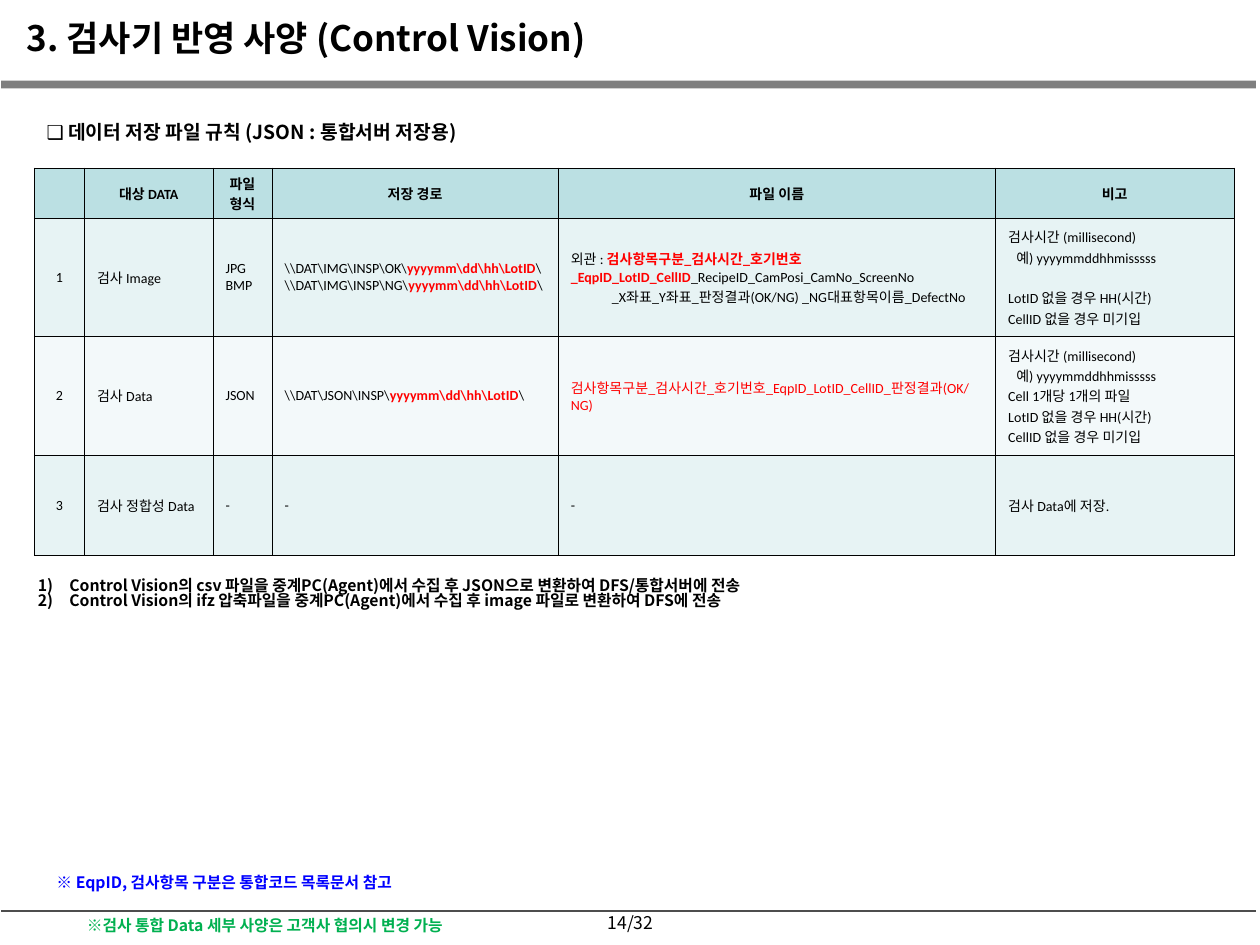
"""Build the slide on the file rules for saved inspection data."""
from dataclasses import dataclass

from lxml import etree
from pptx import Presentation
from pptx.dml.color import RGBColor
from pptx.enum.shapes import MSO_CONNECTOR, MSO_SHAPE
from pptx.enum.text import MSO_ANCHOR, MSO_AUTO_SIZE, PP_ALIGN
from pptx.oxml.ns import qn
from pptx.util import Pt

LEFT, CENTER = PP_ALIGN.LEFT, PP_ALIGN.CENTER
TOP, MIDDLE = MSO_ANCHOR.TOP, MSO_ANCHOR.MIDDLE
NO_AUTOSIZE = MSO_AUTO_SIZE.NONE
RECTANGLE, STRAIGHT = MSO_SHAPE.RECTANGLE, MSO_CONNECTOR.STRAIGHT

COLORS = {
    "black": "000000", "red": "FF0000", "green": "00B050", "blue": "0000FF",
    "bar": "7F7F7F", "rule": "4D4D4D",
    "header": "BBE0E3", "odd": "E7F3F4", "even": "F3F9FA",
}
KOREAN, LATIN = "Noto Sans CJK KR", "Calibri"
TIGHT = 0.83


@dataclass(frozen=True)
class Span:
    text: str
    color: str = "black"
    bold: bool = False
    font: str = ""


@dataclass(frozen=True)
class Line:
    spans: tuple[Span, ...]
    indent: float = 0
    before: float = 0


@dataclass(frozen=True)
class Label:
    text: tuple[Span, ...]
    left: float
    top: float
    width: float
    height: float
    size: float
    align: PP_ALIGN = LEFT


def plain(text: str, indent: float = 0, before: float = 0) -> Line:
    return Line((Span(text),), indent, before)


def saved_path(folder: str) -> Line:
    return Line((Span(folder), Span("yyyymm\\dd\\hh\\LotID", "red", True), Span("\\")))


def rgb(name: str) -> RGBColor:
    return RGBColor.from_string(COLORS[name])


def write_line(para, line: Line, size: float, font: str, align: PP_ALIGN = LEFT) -> None:
    para.alignment = align
    para.space_before = Pt(line.before)
    if line.indent:
        para._p.get_or_add_pPr().set("indent", str(Pt(line.indent)))
    para.font.size, para.font.name = Pt(size), font
    etree.SubElement(para._p.pPr.find(qn("a:defRPr")), qn("a:ea"), typeface=KOREAN)
    uniform = len({(span.color, span.bold) for span in line.spans}) == 1
    if uniform:
        para.font.color.rgb = rgb(line.spans[0].color)
        para.font.bold = line.spans[0].bold
    for span in line.spans:
        run = para.add_run()
        run.text = span.text
        if span.font:
            run.font.name = span.font
        if not uniform:
            run.font.color.rgb = rgb(span.color)
            run.font.bold = span.bold


def write_lines(frame, lines: list[Line], size: float, font: str, align: PP_ALIGN = LEFT) -> None:
    for index, line in enumerate(lines):
        para = frame.paragraphs[0] if index == 0 else frame.add_paragraph()
        write_line(para, line, size, font, align)


def place(shape, left: float, top: float, width: float, height: float) -> None:
    shape.left, shape.top, shape.width, shape.height = map(Pt, (left, top, width, height))
    frame = shape.text_frame
    frame.auto_size, frame.vertical_anchor = NO_AUTOSIZE, TOP


def add_label(page, label: Label) -> None:
    box = page.shapes.add_textbox(0, 0, 0, 0)
    place(box, label.left, label.top, label.width, label.height)
    box.text_frame.word_wrap = True
    write_lines(box.text_frame, [Line(label.text)], label.size, KOREAN, label.align)
    box.text_frame.paragraphs[0].line_spacing = TIGHT


def write_title(page, text: str) -> None:
    title = page.shapes.title
    place(title, 8, 10, 352, 32)
    title.text_frame.word_wrap = False
    write_lines(title.text_frame, [Line((Span(text, bold=True),))], 20, KOREAN)
    title.text_frame.paragraphs[0].line_spacing = TIGHT


def write_notes(page, notes: list[str]) -> None:
    body = page.placeholders[1]
    place(body, 14.4, 327, 522.7, 29)
    for index, note in enumerate(notes):
        para = body.text_frame.paragraphs[0] if index == 0 else body.text_frame.add_paragraph()
        para.line_spacing = TIGHT
        para.space_before = Pt(0)
        properties = para._p.get_or_add_pPr()
        properties.set("marL", str(Pt(18)))
        etree.SubElement(properties, qn("a:buFont"), typeface=KOREAN)
        etree.SubElement(properties, qn("a:buAutoNum"), type="arabicParenR")
        write_line(para, Line((Span(note, bold=True),), indent=-18), 9, KOREAN)


def add_border(cell) -> None:
    properties = cell._tc.get_or_add_tcPr()
    for index, side in enumerate(("lnL", "lnR", "lnT", "lnB")):
        edge = etree.Element(qn(f"a:{side}"), w=str(Pt(0.45)))
        fill = etree.SubElement(edge, qn("a:solidFill"))
        etree.SubElement(fill, qn("a:srgbClr"), val=COLORS["black"])
        properties.insert(index, edge)


def add_rules_table(page, rows: list[list[list[Line]]]) -> None:
    widths = [28.8, 73.4, 33.8, 163.5, 250, 136.2]
    heights = [28.6, 67.7, 67.7, 57.6]
    table = page.shapes.add_table(len(heights), len(widths), Pt(19.5), Pt(96),
                                  Pt(sum(widths)), Pt(sum(heights))).table
    for column, width in zip(table.columns, widths):
        column.width = Pt(width)
    for number, (row, height, cells) in enumerate(zip(table.rows, heights, rows)):
        row.height = Pt(height)
        shade = "header" if number == 0 else "odd" if number % 2 else "even"
        for position, (cell, lines) in enumerate(zip(row.cells, cells)):
            cell.fill.solid()
            cell.fill.fore_color.rgb = rgb(shade)
            cell.vertical_anchor = MIDDLE
            cell.margin_top = cell.margin_bottom = Pt(2.6)
            add_border(cell)
            align = CENTER if number == 0 or position == 0 else LEFT
            write_lines(cell.text_frame, lines, 8, LATIN, align)


def add_frame(page) -> None:
    bar = page.shapes.add_shape(RECTANGLE, Pt(0.7), Pt(46), Pt(717), Pt(4.5))
    bar.shadow.inherit = False
    bar.fill.solid()
    bar.fill.fore_color.rgb = rgb("bar")
    bar.line.fill.background()
    rule = page.shapes.add_connector(STRAIGHT, Pt(0.7), Pt(520.6), Pt(717.8), Pt(520.6))
    rule.line.color.rgb, rule.line.width = rgb("rule"), Pt(0.75)
    etree.SubElement(rule._element.spPr, qn("a:effectLst"))


def main() -> None:
    deck = Presentation()
    deck.slide_width, deck.slide_height = Pt(720), Pt(540)
    page = deck.slides.add_slide(deck.slide_layouts[1])
    headings = [["대상 DATA"], ["파일", "형식"], ["저장 경로"], ["파일 이름"], ["비고"]]
    header = [[]] + [[Line((Span(text, bold=True),)) for text in texts] for texts in headings]
    time_lines = [plain("검사시간 (millisecond)"), plain("예) yyyymmddhhmisssss", 4.6)]
    lot_text, cell_line = "LotID 없을 경우 HH(시간)", plain("CellID 없을 경우 미기입")
    key = "검사항목구분_검사시간_호기번호_EqpID_LotID_CellID"
    image_name = [
        Line((Span("외관 : "), Span(key, "red", True), Span("_RecipeID_CamPosi_CamNo_ScreenNo"))),
        plain("_X좌표_Y좌표_판정결과(OK/NG) _NG대표항목이름_DefectNo", 23.5),
    ]
    add_frame(page)
    write_title(page, "3. 검사기 반영 사양 (Control Vision)")
    add_rules_table(page, [
        header,
        [[plain("1")], [plain("검사 Image")], [plain("JPG"), plain("BMP")],
         [saved_path(f"\\\\DAT\\IMG\\INSP\\{result}\\") for result in ("OK", "NG")],
         image_name, time_lines + [plain(lot_text, before=11.6), cell_line]],
        [[plain("2")], [plain("검사 Data")], [plain("JSON")], [saved_path("\\\\DAT\\JSON\\INSP\\")],
         [Line((Span(key + "_판정결과(OK/NG)", "red"),))],
         time_lines + [plain("Cell 1개당 1개의 파일"), plain(lot_text), cell_line]],
        [[plain("3")], [plain("검사 정합성 Data")], *[[plain("-")]] * 3, [plain("검사 Data에 저장.")]],
    ])
    write_notes(page, [
        "Control Vision의 csv 파일을 중계PC(Agent)에서 수집 후 JSON으로 변환하여 DFS/통합서버에 전송",
        "Control Vision의 ifz 압축파일을 중계PC(Agent)에서 수집 후 image 파일로 변환하여 DFS에 전송",
    ])
    for label in (
        Label((Span("❑ ", bold=True, font="Arial"),
               Span("데이터 저장 파일 규칙 (JSON : 통합서버 저장용)", bold=True)), 19.5, 67.7, 386, 21, 11),
        Label((Span("※ EqpID, 검사항목 구분은 통합코드 목록문서 참고", "blue", True),), 25.2, 496.8, 360, 18, 9),
        Label((Span("※검사 통합 Data 세부 사양은 고객사 협의시 변경 가능", "green", True),),
              42.5, 521.3, 248.4, 18, 9),
        Label((Span("14/32"),), 322.5, 519.8, 75.6, 15, 10, CENTER),
    ):
        add_label(page, label)
    deck.save("out.pptx")


if __name__ == "__main__":
    main()
